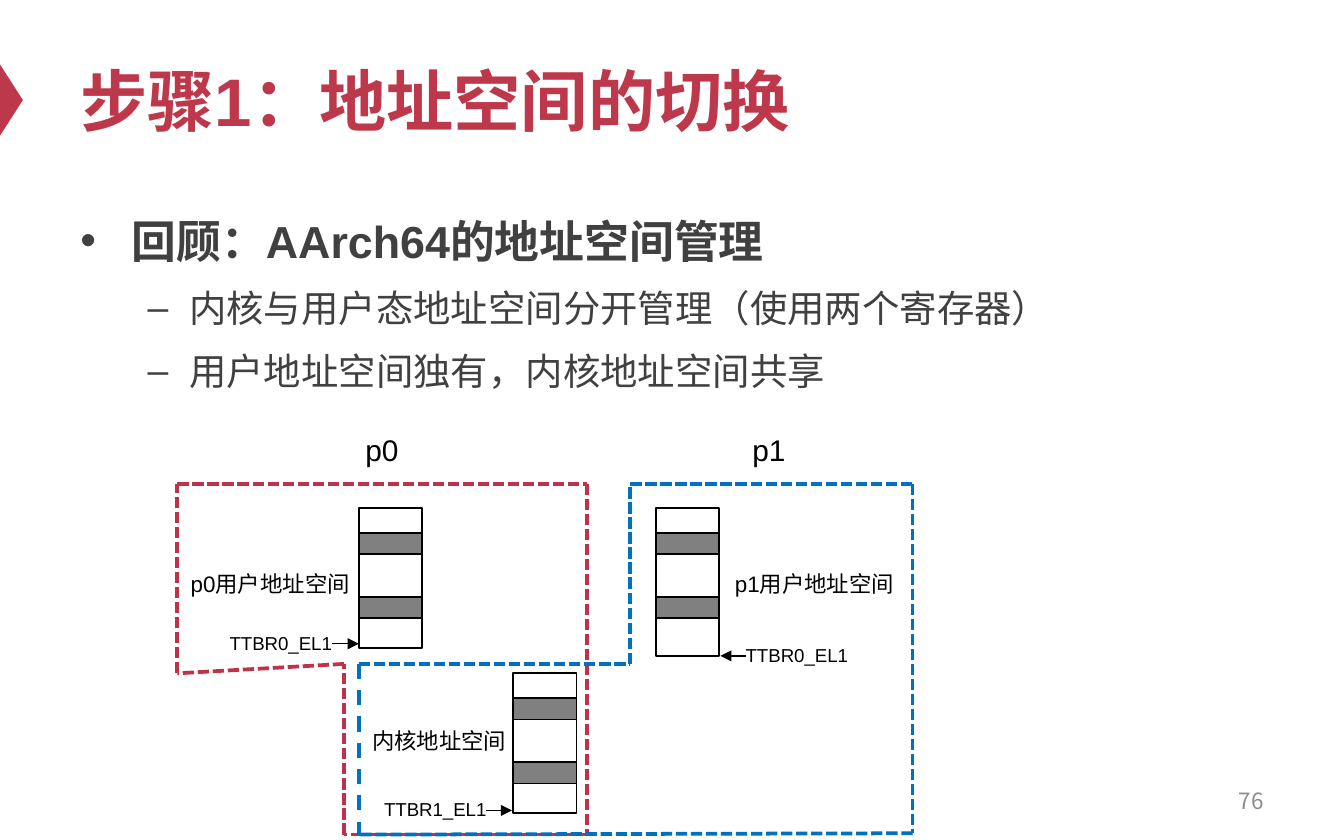
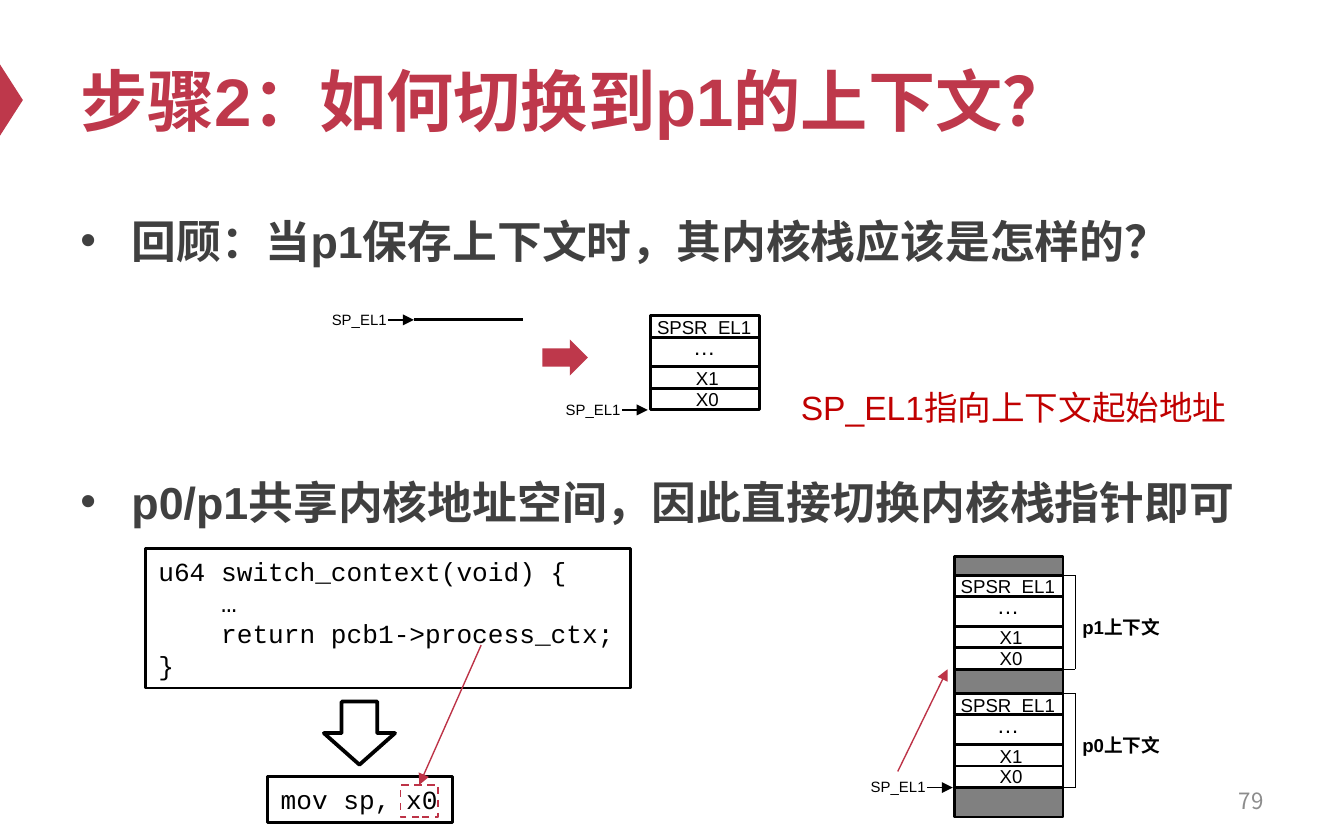
"""Two lecture slides on switching address spaces and contexts."""
from dataclasses import dataclass
from itertools import pairwise
from typing import Any, Optional

from lxml import etree
from pptx import Presentation
from pptx import util as u
from pptx.dml import color
from pptx.enum import dml, shapes, text
from pptx.oxml import ns

WIDE, HIGH = u.Inches(10), u.Inches(6.25)
COLS, ROWS = 100, 62.5
RED, ROSE, BLUE = "BE384B", "BD3347", "0070C0"
BLACK, GREY, DARK = "000000", "808080", "404040"
SANS, CJK, MONO = "Arial", "Noto Sans CJK SC", "Courier New"
DASH, DOTS = dml.MSO_LINE.DASH, dml.MSO_LINE.SQUARE_DOT
KIND = shapes.MSO_SHAPE
TALL = {8: 2.4, 10: 2.7, 12: 3, 16: 3.7, 18: 4}


@dataclass(frozen=True)
class Area:
    """A block of the grid, in columns and rows."""
    left: float
    top: float
    wide: float
    high: float

    def emu(self) -> tuple[int, ...]:
        """Give the block in slide units."""
        return (*spot(self.left, self.top), *spot(self.wide, self.high))


@dataclass(frozen=True)
class Style:
    """The look of a run of text."""
    size: float
    tint: str = BLACK
    bold: bool = False
    face: str = SANS


@dataclass(frozen=True)
class Label:
    """A short caption whose height follows from its text size."""
    left: float
    top: float
    wide: float
    words: str
    size: int = 10
    tint: str = BLACK
    bold: bool = False
    wrap: bool = False


@dataclass(frozen=True)
class Pen:
    """The look of a line."""
    tint: str = BLACK
    width: float = 0.75
    dash: Optional[Any] = None
    arrow: bool = False


@dataclass(frozen=True)
class Level:
    """A bullet level of the body text."""
    mark: str
    left: float
    hang: float
    space: float
    style: Style


TOPIC = Level("•", 0.38, 0.38, 12, Style(24, DARK, True))
POINT = Level("–", 0.81, 0.31, 5, Style(20, DARK))
ARROW = Pen(arrow=True)
THIN, BOLD = Pen(width=1), Pen(width=1.5)


def spot(col: float, row: float) -> tuple[int, int]:
    """Turn a grid point into slide units."""
    return round(WIDE * col / COLS), round(HIGH * row / ROWS)


def rgb(code: str) -> color.RGBColor:
    """Read a hex colour."""
    return color.RGBColor.from_string(code)


def put(item: Any, form: dict[str, Any]) -> None:
    """Set attributes from a dict of format values."""
    for name, value in form.items():
        setattr(item, name, value)


def ink(line: Any, pen: Pen) -> None:
    """Apply a pen to a line format."""
    line.color.rgb = rgb(pen.tint)
    put(line, {"width": u.Pt(pen.width), "dash_style": pen.dash})


def say(para: Any, words: str, style: Style) -> None:
    """Add a styled run to a paragraph."""
    run = para.add_run()
    run.text = words
    put(run.font, {"size": u.Pt(style.size), "bold": style.bold, "name": style.face})
    run.font.color.rgb = rgb(style.tint)
    etree.SubElement(run.font._element, ns.qn("a:ea"), typeface=CJK)


def fill(frame: Any, lines: list[str], style: Style, wrap: bool = False,
         grow: bool = True, anchor: Any = text.MSO_ANCHOR.TOP,
         align: Any = text.PP_ALIGN.LEFT) -> None:
    """Write plain lines into a text frame."""
    fit = text.MSO_AUTO_SIZE
    put(frame, {"word_wrap": wrap, "vertical_anchor": anchor,
                "auto_size": fit.SHAPE_TO_FIT_TEXT if grow else fit.NONE})
    for i, words in enumerate(lines):
        para = frame.add_paragraph() if i else frame.paragraphs[0]
        para.alignment = align
        say(para, words, style)


def shape(slide: Any, area: Area, pen: Optional[Pen] = None, tint: str = "",
          kind: Any = KIND.RECTANGLE, turn: float = 0) -> Any:
    """Draw a preset shape."""
    item = slide.shapes.add_shape(kind, *area.emu())
    item.shadow.inherit = False
    item.rotation = turn
    if tint:
        item.fill.solid()
        item.fill.fore_color.rgb = rgb(tint)
    else:
        item.fill.background()
    if pen:
        ink(item.line, pen)
    else:
        item.line.fill.background()
    return item


def line(slide: Any, start: tuple, end: tuple, pen: Pen) -> Any:
    """Draw a straight connector."""
    item = slide.shapes.add_connector(
        shapes.MSO_CONNECTOR.STRAIGHT, *spot(*start), *spot(*end))
    ink(item.line, pen)
    props = item.element.spPr
    if pen.arrow:
        etree.SubElement(props.find(ns.qn("a:ln")), ns.qn("a:tailEnd"), type="triangle")
    etree.SubElement(props, ns.qn("a:effectLst"))
    return item


def chain(slide: Any, points: list[tuple], pen: Pen) -> None:
    """Join points by lines."""
    for start, end in pairwise(points):
        line(slide, start, end, pen)


def label(slide: Any, tag: Label) -> None:
    """Place a caption."""
    area = Area(tag.left, tag.top, tag.wide, TALL[tag.size])
    box = slide.shapes.add_textbox(*area.emu())
    fill(box.text_frame, [tag.words], Style(tag.size, tag.tint, tag.bold), tag.wrap)


def body(slide: Any, top: float, high: float, items: list[tuple[Level, str]]) -> None:
    """Place a bulleted list."""
    frame = slide.shapes.add_textbox(*Area(5, top, 90, high).emu()).text_frame
    frame.word_wrap = True
    for i, (level, words) in enumerate(items):
        para = frame.add_paragraph() if i else frame.paragraphs[0]
        put(para, {"line_spacing": 1.2, "space_before": u.Pt(level.space if i else 0)})
        props = para._p.get_or_add_pPr()
        props.set("marL", str(u.Inches(level.left)))
        props.set("indent", str(-u.Inches(level.hang)))
        etree.SubElement(props, ns.qn("a:buFont"), typeface=SANS)
        etree.SubElement(props, ns.qn("a:buChar"), char=level.mark)
        say(para, words, level.style)


def page(deck: Any, title: str, number: str) -> Any:
    """Start a slide with its marker, title and page number."""
    slide = deck.slides.add_slide(deck.slide_layouts[6])
    shape(slide, Area(-1.8, 6.6, 5.3, 1.7), tint=RED,
          kind=KIND.ISOSCELES_TRIANGLE, turn=90)
    middle = text.MSO_ANCHOR.MIDDLE
    head = slide.shapes.add_textbox(*Area(5, 2.5, 90, 9.8).emu())
    fill(head.text_frame, [title], Style(36, RED, True), True, False, middle)
    foot = slide.shapes.add_textbox(*Area(71.7, 57.9, 23.3, 3.3).emu())
    fill(foot.text_frame, [number], Style(12, "8C8C8C", face=CJK), True, False,
         middle, text.PP_ALIGN.RIGHT)
    return slide


def memory(slide: Any, left: float, top: float, high: float) -> None:
    """Draw an address space with two used regions."""
    shape(slide, Area(left, top, 4.7, high), THIN)
    for down in (6.6, 1.85):
        shape(slide, Area(left, top + down, 4.7, 1.6), THIN, GREY)


def context(slide: Any, left: float, top: float) -> None:
    """Draw the saved registers of one process."""
    cells = [Label(-0.5, -0.5, 9.1, "SPSR_EL1"), Label(2.2, -0.8, 3.7, "…", 12),
             Label(2.4, -0.5, 3.7, "X1"), Label(2.4, -0.55, 3.7, "X0")]
    for tag, high in zip(cells, (1.6, 2.2, 1.6, 1.6)):
        shape(slide, Area(left, top, 8.1, high), BOLD)
        label(slide, Label(left + tag.left, top + tag.top, tag.wide, tag.words, tag.size))
        top += high


def pointer(slide: Any, left: float, row: float) -> None:
    """Draw the stack pointer caption and its arrow."""
    label(slide, Label(left, row - 1.2, 6.2, "SP_EL1", 8))
    line(slide, (left + 5.2, row), (left + 7.1, row), ARROW)


def spaces(deck: Any) -> None:
    """Build the slide on address spaces."""
    slide = page(deck, "步骤1：地址空间的切换", "76")
    body(slide, 14.6, 16, [(TOPIC, "回顾：AArch64的地址空间管理"),
                           (POINT, "内核与用户态地址空间分开管理（使用两个寄存器）"),
                           (POINT, "用户地址空间独有，内核地址空间共享")])
    for left, top, high in ((26.7, 37.8, 10.4), (48.8, 37.8, 11), (38.2, 50.1, 10.4)):
        memory(slide, left, top, high)
    chain(slide, [(25.6, 49.4), (13.2, 50.1), (13.2, 36), (43.7, 36), (43.7, 49.4),
                  (43.7, 62.1), (25.6, 62.1), (25.6, 49.4)], Pen(ROSE, 2, DOTS))
    chain(slide, [(26.7, 49.4), (46.9, 49.4), (46.9, 36), (67.9, 36), (67.9, 49.4),
                  (67.9, 62), (26.7, 62.1)], Pen(BLUE, 2, DOTS))
    line(slide, (26.7, 49.4), (26.7, 62.1), Pen(BLUE, 2, DASH))
    for tag in (Label(13.2, 41.9, 14, "p0用户地址空间", 12, wrap=True),
                Label(53.7, 41.9, 14, "p1用户地址空间", 12, wrap=True),
                Label(26.7, 53.6, 12.1, "内核地址空间", 12),
                Label(26.2, 31.6, 4.5, "p0", 16), Label(55, 31.6, 4.5, "p1", 16),
                Label(16.1, 46.5, 9.7, "TTBR0_EL1"), Label(27.6, 58.9, 9.7, "TTBR1_EL1"),
                Label(54.5, 47.4, 9.7, "TTBR0_EL1")):
        label(slide, tag)
    for start, end, row in ((24.7, 26.7, 47.9), (36.2, 38.1, 60.3), (55.5, 53.6, 48.8)):
        line(slide, (start, row), (end, row), ARROW)


def switch(deck: Any) -> None:
    """Build the slide on contexts."""
    slide = page(deck, "步骤2：如何切换到p1的上下文？", "79")
    for top, words in ((14.6, "回顾：当p1保存上下文时，其内核栈应该是怎样的？"),
                       (34, "p0/p1共享内核地址空间，因此直接切换内核栈指针即可")):
        body(slide, top, 6, [(TOPIC, words)])
    for left, top in ((48.4, 23.5), (71, 51.6), (71, 42.8)):
        context(slide, left, top)
    for left, row in ((41.1, 30.5), (23.7, 23.8), (63.8, 58.6)):
        pointer(slide, left, row)
    line(slide, (30.8, 23.8), (38.9, 23.8), BOLD)
    shape(slide, Area(40.7, 24.9, 2.7, 3.4), tint=RED, kind=KIND.DOWN_ARROW, turn=270)
    for top, high in ((49.8, 1.8), (58.6, 2.2), (41.4, 1.4)):
        shape(slide, Area(71, top, 8.1, high), BOLD, GREY)
    for name, top in (("p0", 51.6), ("p1", 42.8)):
        chain(slide, [(79.1, top), (80, top), (80, top + 7), (79.1, top + 7)], Pen())
        label(slide, Label(79.55, top + 2.5, 7.9, name + "上下文", bold=True, wrap=True))
    label(slide, Label(58.6, 28.3, 34.8, "SP_EL1指向上下文起始地址", 18, "C00000"))
    code = ["u64 switch_context(void) {", "    …", "    return pcb1->process_ctx;", "}"]
    for area, lines in ((Area(10.8, 40.8, 36.1, 10.4), code),
                        (Area(19.9, 57.8, 13.8, 3.4), ["mov sp, x0"])):
        fill(shape(slide, area, BOLD).text_frame, lines, Style(14, face=MONO))
    shape(slide, Area(24.1, 52.2, 5.3, 4.7), Pen(width=2), kind=KIND.DOWN_ARROW)
    target = shape(slide, Area(29.8, 58.4, 2.8, 2.4), Pen(ROSE, 1, DASH))
    trace = Pen(ROSE, arrow=True)
    line(slide, (66.8, 57.4), (70.5, 49.8), trace)
    line(slide, (35.8, 48), (31.2, 58.4), trace).end_connect(target, 0)


def main() -> None:
    """Build and save the deck."""
    deck = Presentation()
    put(deck, {"slide_width": WIDE, "slide_height": HIGH})
    spaces(deck)
    switch(deck)
    deck.save("out.pptx")


if __name__ == "__main__":
    main()
